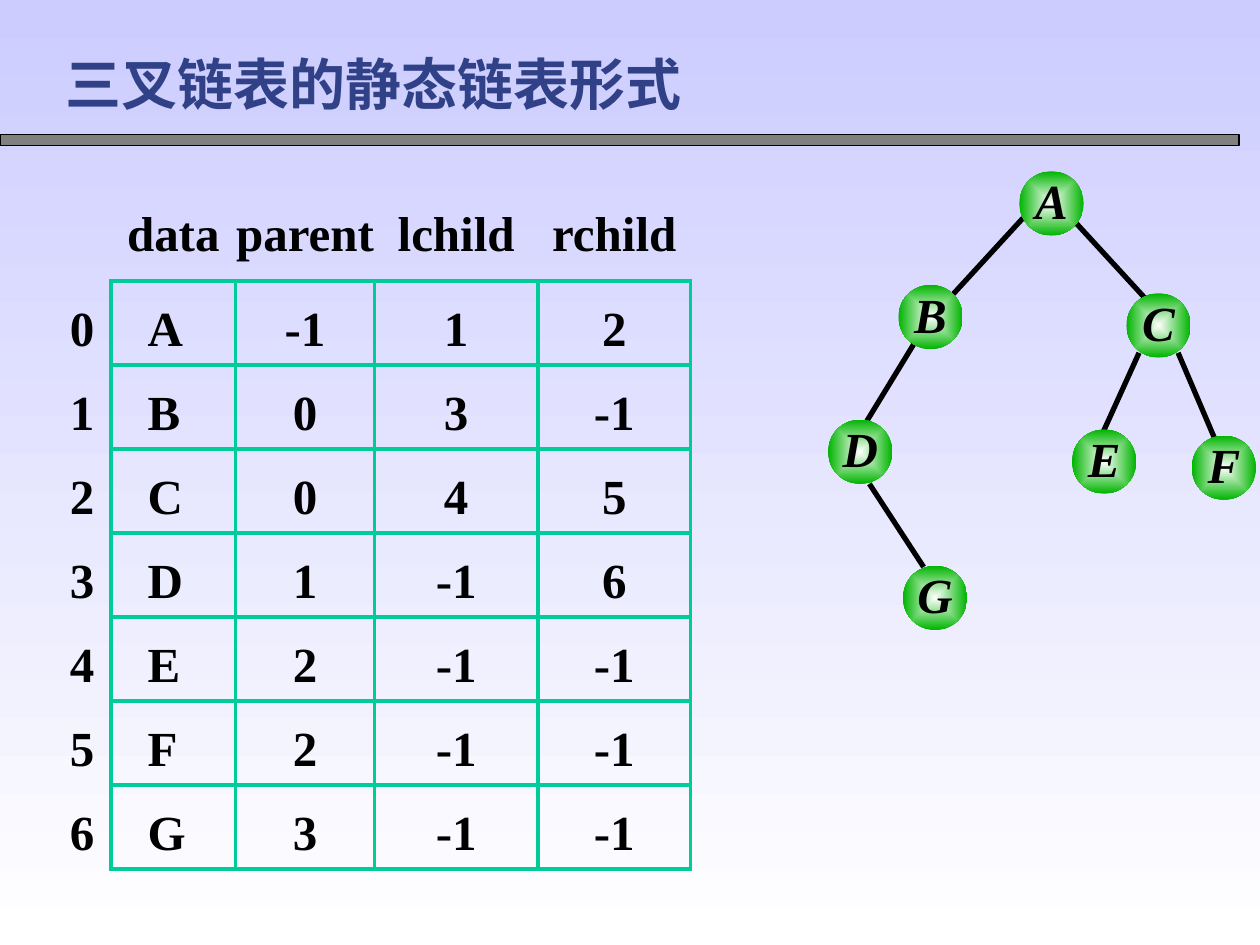
"""Slide showing a binary tree beside its static three-link list."""
from dataclasses import dataclass

from pptx import Presentation, oxml
from pptx.dml.color import RGBColor
from pptx.enum import shapes, text
from pptx.oxml import ns
from pptx.util import Pt


@dataclass(frozen=True)
class Theme:
    """Colours, typeface and sizes of the slide."""
    font: str = "Times New Roman"
    title_size: float = 32
    body_size: float = 28
    title: str = "314187"
    ink: str = "000000"
    bar: str = "808080"
    grid: str = "00CC99"
    node: str = "00B400"
    glow: str = "FFFFFF"
    sky: str = "CCCCFF"
    grid_width: float = 2.25
    edge_width: float = 3


THEME = Theme()
NODE_SIZE = 36.7
NODES = {
    "A": (582.5, 97.9), "B": (513.4, 162.8), "C": (643.7, 167.6), "D": (473.2, 239.8),
    "E": (612.6, 245.4), "F": (681, 248.9), "G": (516, 323.3),
}
EDGES = [
    (584.6, 124.6, 544.3, 168.5), (614.2, 126.7, 654.5, 170.6),
    (522.7, 195.8, 495.4, 240.5), (496.8, 276.5, 527.8, 324),
    (650.9, 201.6, 630.7, 246.2), (673.2, 201.6, 694.1, 250.6),
]
LIST_ROWS = [
    ("", "data", "parent", "lchild", "rchild"),
    ("0", "A", "-1", "1", "2"),
    ("1", "B", "0", "3", "-1"),
    ("2", "C", "0", "4", "5"),
    ("3", "D", "1", "-1", "6"),
    ("4", "E", "2", "-1", "-1"),
    ("5", "F", "2", "-1", "-1"),
    ("6", "G", "3", "-1", "-1"),
]
COLUMN_WIDTHS = (33, 71.3, 79.2, 93.6, 87.1)
HEADER_HEIGHT, ROW_HEIGHT = 52.6, 48


def rgb(code):
    """Turn a hex code into a colour."""
    return RGBColor.from_string(code)


def blend(fill, start, end):
    """Give a fill a two-stop gradient."""
    fill.gradient()
    for stop, code in zip(fill.gradient_stops, (start, end)):
        stop.color.rgb = rgb(code)


def write(frame, words, size, color, align, italic=False):
    """Put one bold line into a text frame."""
    paragraph = frame.paragraphs[0]
    paragraph.text = words
    paragraph.alignment = align
    font = paragraph.font
    font.name, font.size, font.bold, font.italic = THEME.font, Pt(size), True, italic
    font.color.rgb = rgb(color)


def set_margins(area, left=0, top=0, right=0, bottom=0):
    """Set the four inner margins of a cell or text frame."""
    area.margin_left, area.margin_top = Pt(left), Pt(top)
    area.margin_right, area.margin_bottom = Pt(right), Pt(bottom)


def add_heading(slide):
    """Add the title and the bar below it."""
    bar = slide.shapes.add_shape(shapes.MSO_SHAPE.RECTANGLE, 0, Pt(77), Pt(708), Pt(6))
    bar.shadow.inherit = False
    bar.fill.solid()
    bar.fill.fore_color.rgb = rgb(THEME.bar)
    bar.line.color.rgb = rgb(THEME.ink)
    bar.line.width = Pt(0.75)
    title = slide.shapes.add_textbox(Pt(30.2), Pt(24.5), Pt(396.7), Pt(46))
    title.text_frame.word_wrap = True
    write(title.text_frame, "三叉链表的静态链表形式", THEME.title_size, THEME.title, text.PP_ALIGN.LEFT)


def add_edge(slide, x1, y1, x2, y2):
    """Add a tree edge between two points."""
    edge = slide.shapes.add_connector(
        shapes.MSO_CONNECTOR.STRAIGHT, Pt(x1), Pt(y1), Pt(x2), Pt(y2))
    edge.line.color.rgb = rgb(THEME.ink)
    edge.line.width = Pt(THEME.edge_width)
    edge._element.spPr.append(oxml.parse_xml(f"<a:effectLst {ns.nsdecls('a')}/>"))


def add_node(slide, label, left, top):
    """Add a glowing round tree node with its letter."""
    node = slide.shapes.add_shape(
        shapes.MSO_SHAPE.OVAL, Pt(left), Pt(top), Pt(NODE_SIZE), Pt(NODE_SIZE))
    node.shadow.inherit = False
    node.line.fill.background()
    blend(node.fill, THEME.glow, THEME.node)
    gradient = node._element.spPr.find(ns.qn("a:gradFill"))
    gradient.replace(gradient.find(ns.qn("a:lin")), oxml.parse_xml(
        f'<a:path {ns.nsdecls("a")} path="rect">'
        '<a:fillToRect l="50000" t="50000" r="50000" b="50000"/></a:path>'))
    frame = node.text_frame
    frame.word_wrap = False
    frame.vertical_anchor = text.MSO_ANCHOR.MIDDLE
    set_margins(frame, bottom=4)
    write(frame, label, THEME.body_size, THEME.ink, text.PP_ALIGN.CENTER, italic=True)


def set_borders(cell, sides):
    """Rule the named sides of a cell and clear the others."""
    properties = cell._tc.get_or_add_tcPr()
    for place, side in enumerate("LRTB"):
        paint = (f'<a:solidFill><a:srgbClr val="{THEME.grid}"/></a:solidFill>'
                 if side in sides else "<a:noFill/>")
        properties.insert(place, oxml.parse_xml(
            f'<a:ln{side} {ns.nsdecls("a")} w="{Pt(THEME.grid_width)}">{paint}</a:ln{side}>'))


def add_list(slide):
    """Add the static list, ruled only around its stored values."""
    height = HEADER_HEIGHT + ROW_HEIGHT * (len(LIST_ROWS) - 1)
    table = slide.shapes.add_table(
        len(LIST_ROWS), len(COLUMN_WIDTHS), Pt(30.4), Pt(108),
        Pt(sum(COLUMN_WIDTHS)), Pt(height)).table
    table.first_row = table.horz_banding = False
    for column, width in zip(table.columns, COLUMN_WIDTHS):
        column.width = Pt(width)
    for r, values in enumerate(LIST_ROWS):
        table.rows[r].height = Pt(ROW_HEIGHT if r else HEADER_HEIGHT)
        for c, value in enumerate(values):
            cell = table.cell(r, c)
            is_letter = r > 0 and c == 1
            cell.fill.background()
            cell.vertical_anchor = text.MSO_ANCHOR.MIDDLE
            set_margins(cell, left=21 if is_letter else 0, top=8 if r else 0)
            align = text.PP_ALIGN.LEFT if is_letter else text.PP_ALIGN.CENTER
            write(cell.text_frame, value, THEME.body_size, THEME.ink, align)
            set_borders(cell, ("LT" if r and c else "") + ("R" if r else "") + ("B" if c else ""))


def main():
    """Build and save the slide."""
    deck = Presentation()
    deck.slide_width, deck.slide_height = Pt(720), Pt(540)
    slide = deck.slides.add_slide(deck.slide_layouts[6])
    backdrop = slide.background.fill
    blend(backdrop, THEME.sky, THEME.glow)
    backdrop.gradient_angle = 270
    add_heading(slide)
    for edge in EDGES:
        add_edge(slide, *edge)
    for label, place in NODES.items():
        add_node(slide, label, *place)
    add_list(slide)
    deck.save("out.pptx")


if __name__ == "__main__":
    main()
